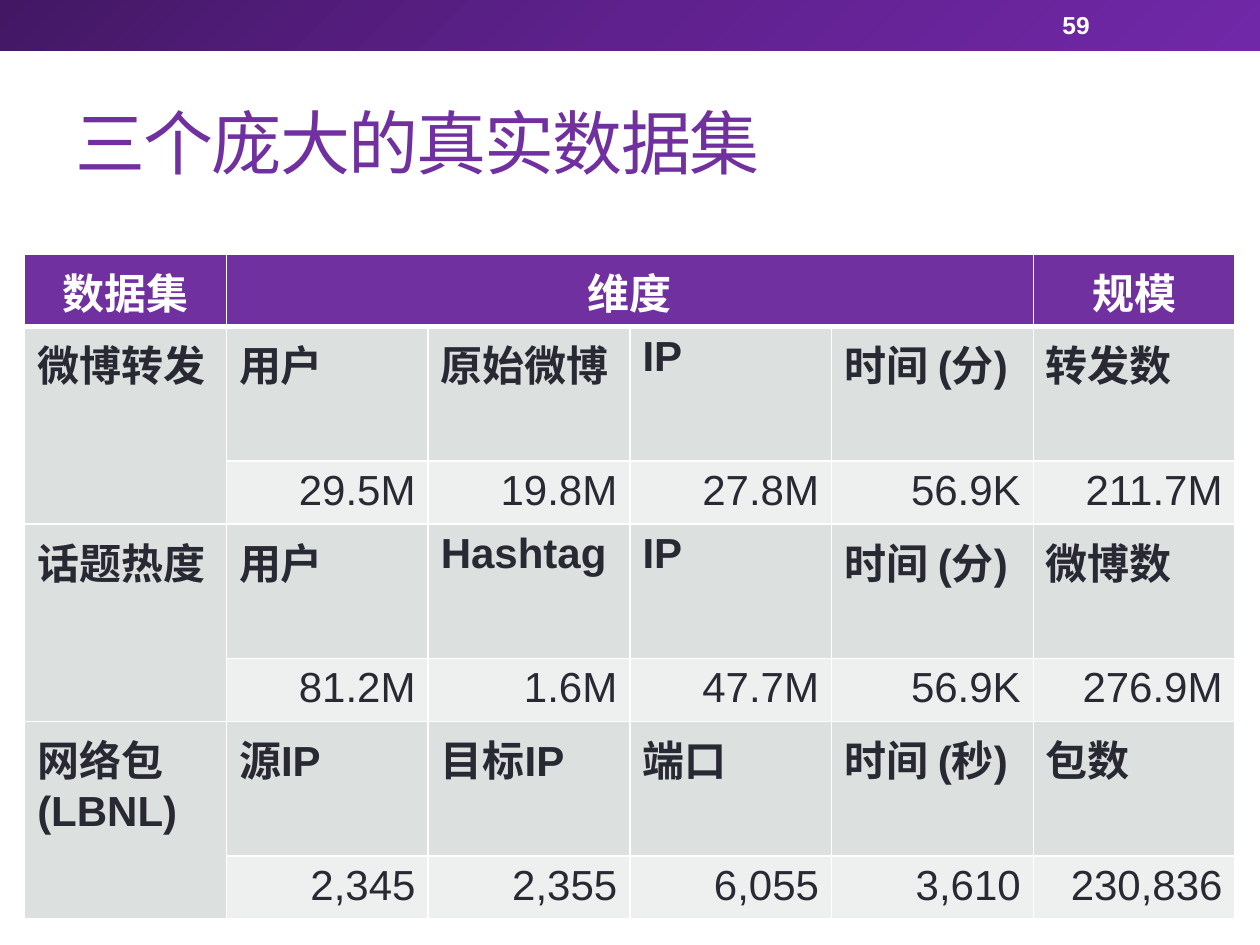
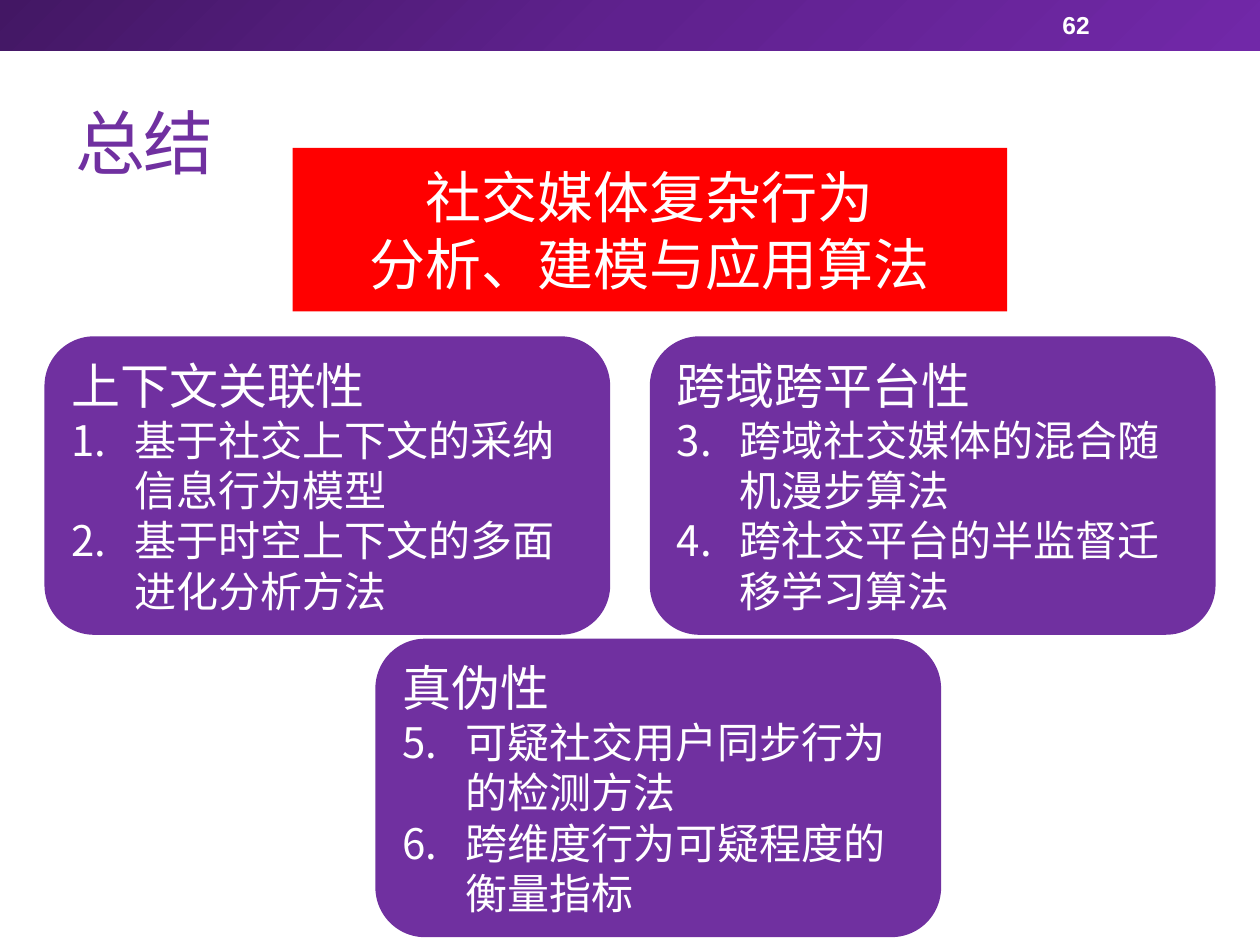
from dataclasses import dataclass

from pptx import Presentation
from pptx.dml.color import RGBColor as Rgb
from pptx.enum.shapes import MSO_SHAPE as Form
from pptx.enum.text import MSO_ANCHOR as Anchor, PP_ALIGN as Align
from pptx.oxml import parse_xml
from pptx.oxml.ns import nsdecls, qn
from pptx.util import Pt


@dataclass(frozen=True)
class Theme:
    font: str = "Arial"
    main: str = "7030A0"
    alert: str = "FF0000"
    white: str = "FFFFFF"
    ink: str = "292934"
    dark: str = "DCE0DE"
    pale: str = "EEF0EF"
    band: tuple = ((0, "431764"), (50, "5F218E"), (100, "7128A8"))
    title: int = 40
    claim: int = 32
    head: int = 28
    body: int = 24
    page: int = 14


THEME = Theme()
WIDE, HIGH = 720, 540


def number(par, start):
    """Make the paragraph an item of a list numbered from start."""
    props = par._p.get_or_add_pPr()
    props.set("marL", str(Pt(36)))
    props.set("indent", str(-Pt(36)))
    for xml in ('<a:buFont %s typeface="+mj-ea"/>',
                f'<a:buAutoNum %s type="arabicPeriod" startAt="{start}"/>'):
        props.append(parse_xml(xml % nsdecls("a")))


def write(frame, lines, size=THEME.body, color=THEME.white, bold=False,
          align=Align.LEFT, anchor=Anchor.MIDDLE, start=None, space=None, first=True):
    """Fill the frame, or add to it when first is False."""
    frame.word_wrap = True
    frame.vertical_anchor = anchor
    for line in lines:
        par = frame.paragraphs[0] if first else frame.add_paragraph()
        first = False
        par.alignment = align
        if start:
            number(par, start)
        run = par.add_run()
        run.text = line
        font = run.font
        font.name, font.size, font.bold = THEME.font, Pt(size), bold
        font.color.rgb = Rgb.from_string(color)
        if space:
            run._r.get_or_add_rPr().set("spc", str(int(space * 100)))


def border(cell, **sides):
    """Draw white lines; sides maps L, R, T and B to widths."""
    props = cell._tc.get_or_add_tcPr()
    for side, width in sides.items():
        props.append(parse_xml(
            f'<a:ln{side} {nsdecls("a")} w="{Pt(width)}"><a:solidFill>'
            f'<a:srgbClr val="{THEME.white}"/></a:solidFill></a:ln{side}>'))


class Deck:
    def __init__(self):
        self.show = Presentation()
        self.show.slide_width, self.show.slide_height = Pt(WIDE), Pt(HIGH)
        self.slide = None

    def page(self, title, num):
        self.slide = self.show.slides.add_slide(self.show.slide_layouts[6])
        self.band()
        self.label(36, 42, 648, 78, title, size=THEME.title, color=THEME.main, space=-0.95)
        self.label(600, 1.2, 84, 26, str(num), size=THEME.page, bold=True)

    def band(self):
        bar = self.box(Form.RECTANGLE, 0, 0, WIDE, 29, THEME.main)
        stops = "".join(f'<a:gs pos="{pos * 1000}"><a:srgbClr val="{tint}"/></a:gs>'
                        for pos, tint in THEME.band)
        props = bar._element.spPr
        props.replace(props.find(qn("a:solidFill")), parse_xml(
            f'<a:gradFill {nsdecls("a")} rotWithShape="1"><a:gsLst>{stops}</a:gsLst>'
            f'<a:lin ang="{45 * 60000}" scaled="0"/></a:gradFill>'))

    def label(self, x, y, wide, high, text, **style):
        box = self.slide.shapes.add_textbox(Pt(x), Pt(y), Pt(wide), Pt(high))
        write(box.text_frame, [text], **style)

    def box(self, form, x, y, wide, high, fill):
        shape = self.slide.shapes.add_shape(form, Pt(x), Pt(y), Pt(wide), Pt(high))
        shape.shadow.inherit = False
        shape.fill.solid()
        shape.fill.fore_color.rgb = Rgb.from_string(fill)
        shape.line.fill.background()
        return shape

    def claim(self, x, y, wide, high, lines):
        box = self.box(Form.RECTANGLE, x, y, wide, high, THEME.alert)
        write(box.text_frame, lines, size=THEME.claim, align=Align.CENTER)

    def card(self, x, y, head, items, start):
        box = self.box(Form.ROUNDED_RECTANGLE, x, y, 323.3, 170.6, THEME.main)
        write(box.text_frame, [head], size=THEME.head)
        write(box.text_frame, items, start=start, first=False)

    def cell(self, grid, row, col, text, fill, **style):
        cell = grid.cell(row, col)
        border(cell, L=1, R=1, T=3 if row == 1 else 1, B=3 if row == 0 else 1)
        cell.fill.solid()
        cell.fill.fore_color.rgb = Rgb.from_string(fill)
        if text:
            write(cell.text_frame, text.split("\n"), **style)
            cell.vertical_anchor = Anchor.TOP

    def table(self, x, y, heads, sets):
        """Give each set a name over two rows, with field names above values."""
        highs = [41.2] + [76.8, 34.1] * len(sets)
        rows, cols, wide = len(highs), len(heads), 115.3
        grid = self.slide.shapes.add_table(
            rows, cols, Pt(x), Pt(y), Pt(wide * cols), Pt(sum(highs))).table
        for col in grid.columns:
            col.width = Pt(wide)
        for row, high in zip(grid.rows, highs):
            row.height = Pt(high)
        for col, text in enumerate(heads):
            self.cell(grid, 0, col, text, THEME.main, bold=True,
                      align=Align.CENTER, anchor=None)
        grid.cell(0, 1).merge(grid.cell(0, cols - 2))
        for row, (name, keys, values) in zip(range(1, rows, 2), sets):
            for col, text in enumerate((name, *keys)):
                self.cell(grid, row, col, text, THEME.dark, color=THEME.ink,
                          bold=True, anchor=None)
            for col, text in enumerate(("", *values)):
                self.cell(grid, row + 1, col, text, THEME.pale if col else THEME.dark,
                          color=THEME.ink, align=Align.RIGHT, anchor=None)
            grid.cell(row, 0).merge(grid.cell(row + 1, 0))


def data(deck):
    deck.page("三个庞大的真实数据集", 59)
    deck.table(14.1, 145.5, ("数据集", "维度", "", "", "", "规模"), (
        ("微博转发", ("用户", "原始微博", "IP", "时间 (分)", "转发数"),
         ("29.5M", "19.8M", "27.8M", "56.9K", "211.7M")),
        ("话题热度", ("用户", "Hashtag", "IP", "时间 (分)", "微博数"),
         ("81.2M", "1.6M", "47.7M", "56.9K", "276.9M")),
        ("网络包\n(LBNL)", ("源IP", "目标IP", "端口", "时间 (秒)", "包数"),
         ("2,345", "2,355", "6,055", "3,610", "230,836")),
    ))


def recap(deck):
    deck.page("总结", 62)
    deck.claim(167.3, 84.5, 408.2, 93.4, ("社交媒体复杂行为", "分析、建模与应用算法"))
    cards = (
        (25.4, 192.2, "上下文关联性",
         ("基于社交上下文的采纳信息行为模型", "基于时空上下文的多面进化分析方法")),
        (371.3, 192.2, "跨域跨平台性",
         ("跨域社交媒体的混合随机漫步算法", "跨社交平台的半监督迁移学习算法")),
        (214.5, 365, "真伪性",
         ("可疑社交用户同步行为的检测方法", "跨维度行为可疑程度的衡量指标")),
    )
    start = 1
    for x, y, head, items in cards:
        deck.card(x, y, head, items, start)
        start += len(items)


def main():
    deck = Deck()
    data(deck)
    recap(deck)
    deck.show.save("out.pptx")


if __name__ == "__main__":
    main()
